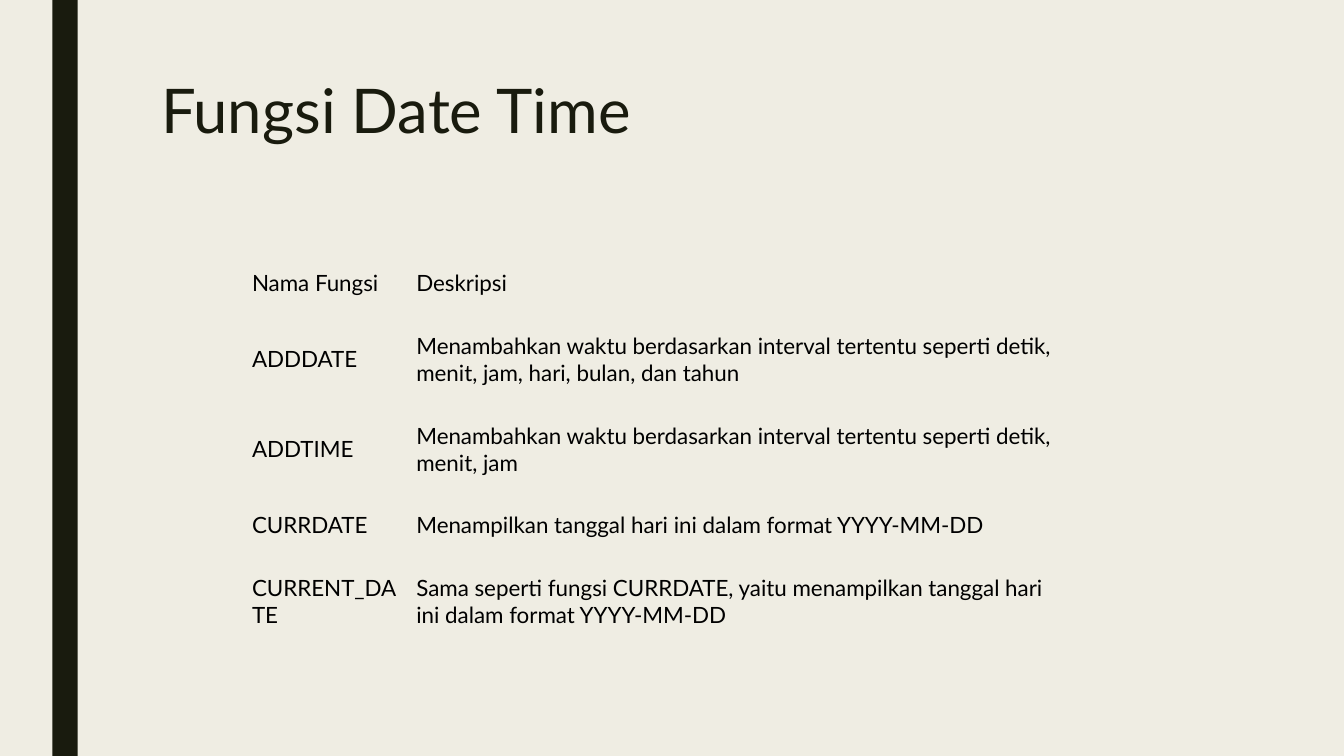
from dataclasses import dataclass

from pptx import Presentation
from pptx.dml.color import RGBColor
from pptx.enum.shapes import MSO_SHAPE
from pptx.enum.text import MSO_ANCHOR
from pptx.oxml.ns import qn
from pptx.util import Inches, Pt

RECT = MSO_SHAPE.RECTANGLE
TOP = MSO_ANCHOR.TOP
MIDDLE = MSO_ANCHOR.MIDDLE
PLAIN_STYLE = "{2D5ABB26-0587-4C30-8999-92F81FD0307C}"  # no fill, no grid


@dataclass(frozen=True)
class Theme:
    paper: RGBColor = RGBColor(0xEF, 0xED, 0xE3)
    dark: RGBColor = RGBColor(0x19, 0x1B, 0x0E)
    ink: RGBColor = RGBColor(0, 0, 0)
    font: str = "Lato"
    title: int = 44
    body: int = 16


THEME = Theme()

COLS = [1.63, 6.5]
ONE_LINE, TWO_LINE = 0.62, 0.89
# Row height, function name, description
ROWS = [
    (ONE_LINE, "Nama Fungsi", "Deskripsi"),
    (TWO_LINE, "ADDDATE", "Menambahkan waktu berdasarkan interval tertentu "
     "seperti detik, menit, jam, hari, bulan, dan tahun"),
    (TWO_LINE, "ADDTIME", "Menambahkan waktu berdasarkan interval tertentu "
     "seperti detik, menit, jam"),
    (ONE_LINE, "CURRDATE",
     "Menampilkan tanggal hari ini dalam format YYYY-MM-DD"),
    (TWO_LINE, "CURRENT_DATE", "Sama seperti fungsi CURRDATE, yaitu "
     "menampilkan tanggal hari ini dalam format YYYY-MM-DD"),
]


def add_run(para, text, size, color):
    run = para.add_run()
    run.text = text
    run.font.name = THEME.font
    run.font.size = Pt(size)
    run.font.color.rgb = color


def add_bar(slide, left, top, width, height):
    bar = slide.shapes.add_shape(
        RECT, Inches(left), Inches(top), Inches(width), Inches(height))
    bar.shadow.inherit = False
    bar.fill.solid()
    bar.fill.fore_color.rgb = THEME.dark
    bar.line.fill.background()


def add_title(slide, text, left, top, width, height):
    box = slide.shapes.add_textbox(
        Inches(left), Inches(top), Inches(width), Inches(height))
    frame = box.text_frame
    frame.word_wrap = True
    frame.vertical_anchor = TOP
    para = frame.paragraphs[0]
    para.line_spacing = 0.89
    add_run(para, text, THEME.title, THEME.dark)


def fill_cell(cell, text):
    cell.fill.background()
    cell.vertical_anchor = MIDDLE
    cell.margin_left = cell.margin_right = Inches(0.09)
    cell.margin_top = cell.margin_bottom = Inches(0.04)
    add_run(cell.text_frame.paragraphs[0], text, THEME.body, THEME.ink)


def add_grid(slide, left, top):
    width = sum(COLS)
    height = sum(row[0] for row in ROWS)
    table = slide.shapes.add_table(
        len(ROWS), len(COLS), Inches(left), Inches(top),
        Inches(width), Inches(height)).table
    table.horz_banding = False
    table.first_row = False
    table._tbl.tblPr.find(qn("a:tableStyleId")).text = PLAIN_STYLE
    for col, wide in zip(table.columns, COLS):
        col.width = Inches(wide)
    for row, (high, *texts) in zip(table.rows, ROWS):
        row.height = Inches(high)
        for cell, text in zip(row.cells, texts):
            fill_cell(cell, text)


def main():
    deck = Presentation()
    deck.slide_width = Inches(13.33)
    deck.slide_height = Inches(7.5)
    slide = deck.slides.add_slide(deck.slide_layouts[6])

    # Background and side bar
    slide.background.fill.solid()
    slide.background.fill.fore_color.rgb = THEME.paper
    add_bar(slide, 0.52, 0, 0.25, 7.5)

    # Title and function table
    add_title(slide, "Fungsi Date Time", 1.5, 0.75, 10.5, 1.62)
    add_grid(slide, 2.41, 2.5)

    deck.save("out.pptx")


main()
